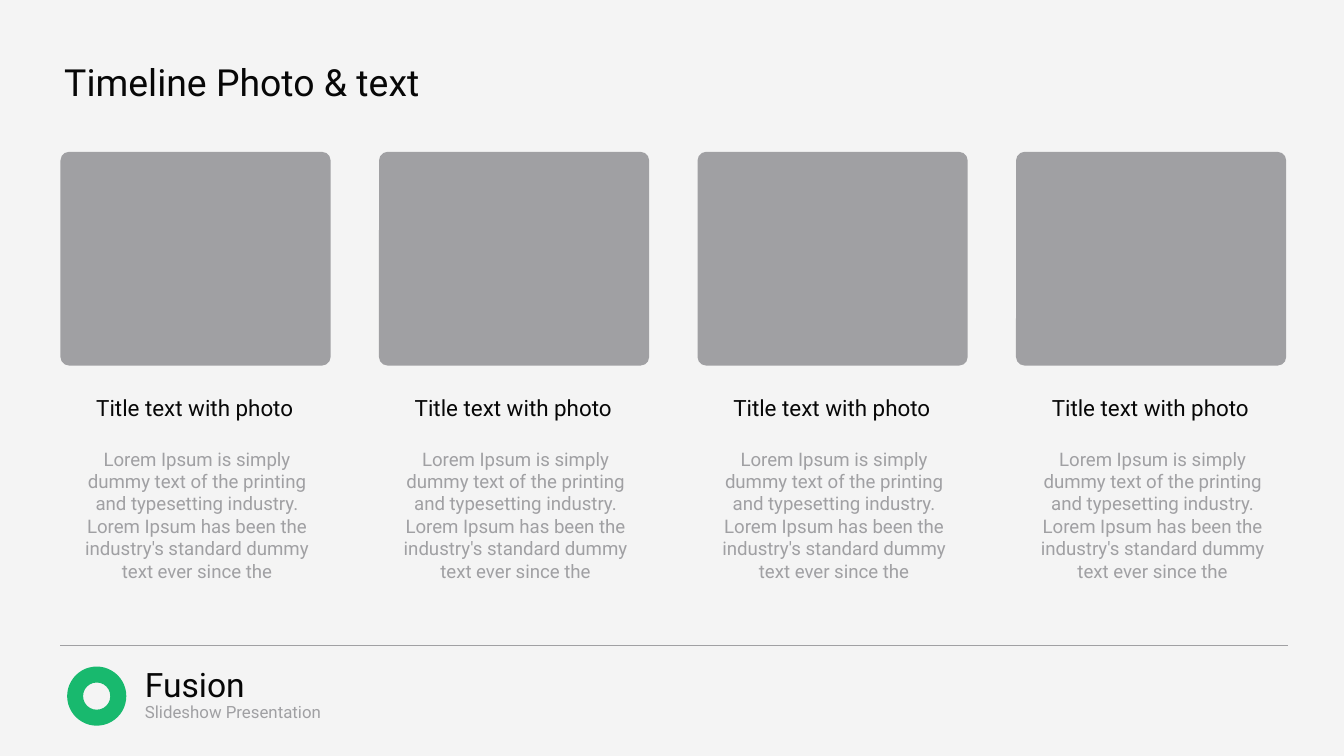
from pptx import Presentation
from pptx.dml.color import RGBColor
from pptx.enum.shapes import MSO_CONNECTOR, MSO_SHAPE
from pptx.enum.text import MSO_ANCHOR, PP_ALIGN
from pptx.oxml.ns import qn
from pptx.util import Inches, Pt
from lxml import etree

LEFT, CENTER = PP_ALIGN.LEFT, PP_ALIGN.CENTER
TOP, MIDDLE, BOTTOM = MSO_ANCHOR.TOP, MSO_ANCHOR.MIDDLE, MSO_ANCHOR.BOTTOM
ROUND, DONUT = MSO_SHAPE.ROUNDED_RECTANGLE, MSO_SHAPE.DONUT
LINE = MSO_CONNECTOR.STRAIGHT

# Content
TITLE = "Timeline Photo & text"
LOREM = ("Lorem Ipsum is simply dummy text of the printing and typesetting "
         "industry. Lorem Ipsum has been the industry's standard dummy text "
         "ever since the")
CARDS = [("Title text with photo", LOREM)] * 4
BRAND, TAG = "Fusion", "Slideshow Presentation"

# Style and grid
FONT, INK, GRAY, PAPER, MARK = "Roboto", "070707", "A0A0A3", "F4F4F4", "18B96E"
EDGE, STEP, WIDE = 0.45, 2.37, 2.01


def color(code):
    return RGBColor.from_string(code)


def add_text(slide, box, text, size, ink, align=LEFT, anchor=TOP):
    frame = slide.shapes.add_textbox(*map(Inches, box)).text_frame
    frame.word_wrap = True
    frame.vertical_anchor = anchor
    para = frame.paragraphs[0]
    para.alignment = align
    run = para.add_run()
    run.text = text
    run.font.name, run.font.size = FONT, Pt(size)
    run.font.color.rgb = color(ink)


def add_block(slide, kind, box, fill, adjust):
    shape = slide.shapes.add_shape(kind, *map(Inches, box))
    shape.shadow.inherit = False
    shape.fill.solid()
    shape.fill.fore_color.rgb = color(fill)
    shape.line.fill.background()
    shape.adjustments[0] = adjust


def main():
    # Widescreen page, 16 to 9
    deck = Presentation()
    deck.slide_width, deck.slide_height = Inches(10), Inches(10 * 9 / 16)
    slide = deck.slides.add_slide(deck.slide_layouts[6])
    slide.background.fill.solid()
    slide.background.fill.fore_color.rgb = color(PAPER)

    # Footer: emblem, name and rule
    add_block(slide, DONUT, (0.5, 4.96, 0.44, 0.44), MARK, 0.27)
    add_text(slide, (0.98, 4.89, 1.54, 0.4), BRAND, 18, INK)
    add_text(slide, (0.98, 5.17, 2.49, 0.25), TAG, 9, GRAY)
    rule = slide.shapes.add_connector(
        LINE, *map(Inches, (EDGE, 4.8, 9.58, 4.8)))
    rule.line.color.rgb = color(GRAY)
    rule.line.width = Pt(0.5)
    etree.SubElement(rule._element.spPr, qn("a:effectLst"))

    # Heading
    add_text(slide, (0.38, 0.31, 4.94, 0.51), TITLE, 20, INK, anchor=BOTTOM)

    # Photo cards
    for i, (head, body) in enumerate(CARDS):
        x = EDGE + i * STEP
        add_text(slide, (x + 0.01, 3.28, WIDE, 1.11), body, 10, GRAY, CENTER)
        add_text(slide, (x, 2.85, 2, 0.37), head, 12, INK, CENTER, MIDDLE)
        add_block(slide, ROUND, (x, 1.13, WIDE, 1.59), GRAY, 0.04)

    deck.save("out.pptx")


if __name__ == "__main__":
    main()
